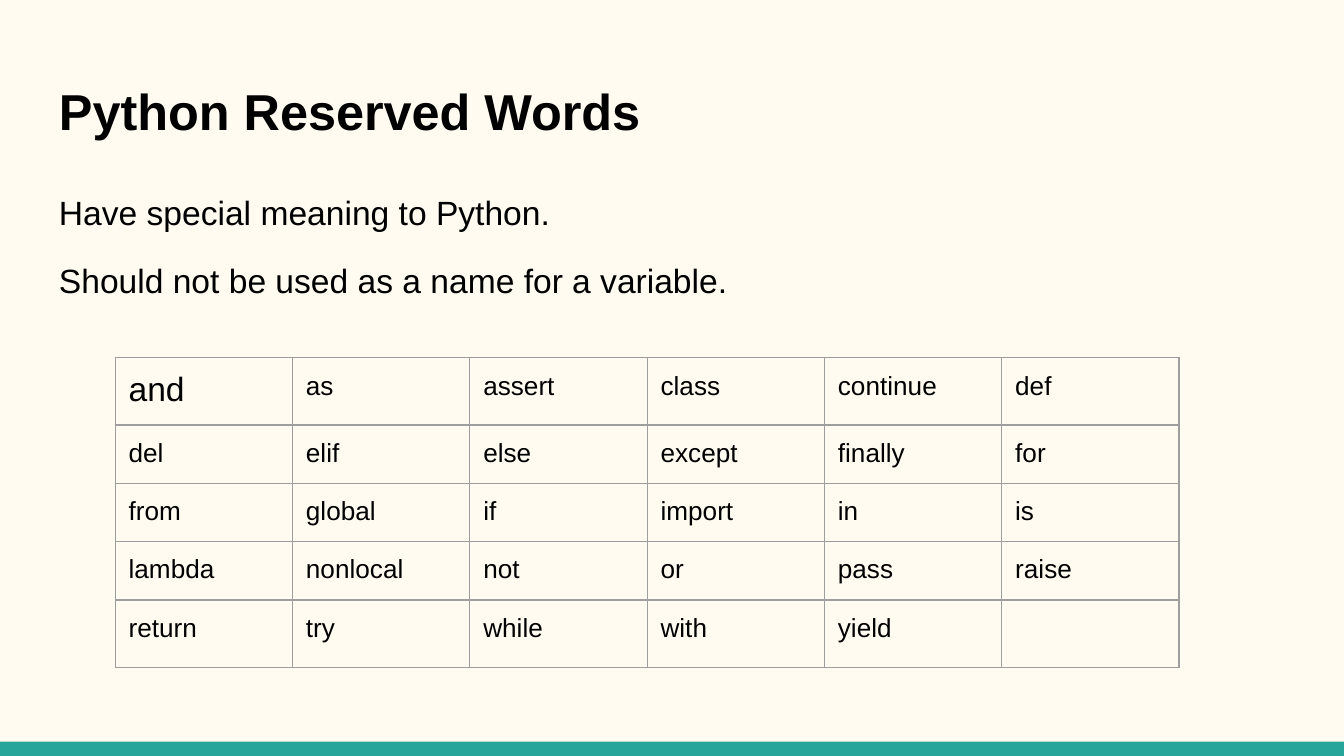
"""Build a slide that lists the reserved words of Python."""
from dataclasses import dataclass

from lxml import etree
from pptx import Presentation
from pptx.dml.color import RGBColor
from pptx.enum import shapes, text
from pptx.oxml import ns
from pptx.util import Pt

COLORS = {"paper": "FFFBF0", "teal": "26A69A", "ink": "000000", "grid": "9E9E9E"}
WIDTH, HEIGHT = 720, 405
INSET = 7.2
WORDS = """and as assert class continue def
del elif else except finally for
from global if import in is
lambda nonlocal not or pass raise
return try while with yield"""


@dataclass
class Box:
    """A rectangle in points."""
    left: float
    top: float
    width: float
    height: float

    def place(self) -> list:
        """Return the four lengths for a new shape."""
        return [Pt(n) for n in (self.left, self.top, self.width, self.height)]


def color(name: str) -> RGBColor:
    """Look up a named colour."""
    return RGBColor.from_string(COLORS[name])


def write(frame, lines: list[str], *, size: float, bold: bool = False,
          spread: float = 1, gap: float = 0) -> None:
    """Fill a text frame with formatted paragraphs."""
    for index, line in enumerate(lines):
        para = frame.add_paragraph() if index else frame.paragraphs[0]
        para.line_spacing = spread
        if index:
            para.space_before = para.space_after = Pt(gap)
        run = para.add_run()
        run.text = line
        run.font.name, run.font.size, run.font.bold = "Arial", Pt(size), bold
        run.font.color.rgb = color("ink")


def add_text(slide, box: Box, lines: list[str], anchor=text.MSO_ANCHOR.TOP, **style) -> None:
    """Add a wrapped text box."""
    frame = slide.shapes.add_textbox(*box.place()).text_frame
    frame.word_wrap, frame.vertical_anchor = True, anchor
    frame.margin_left = frame.margin_right = Pt(INSET)
    frame.margin_top = frame.margin_bottom = Pt(INSET)
    write(frame, lines, **style)


def add_edges(cell) -> None:
    """Draw thin lines on all sides of a cell."""
    props = cell._tc.get_or_add_tcPr()
    for index, side in enumerate(("lnL", "lnR", "lnT", "lnB")):
        line = etree.Element(ns.qn(f"a:{side}"), w=str(Pt(0.75)))
        fill = etree.SubElement(line, ns.qn("a:solidFill"))
        etree.SubElement(fill, ns.qn("a:srgbClr"), val=COLORS["grid"])
        props.insert(index, line)


def add_words(slide, box: Box, rows: list[list[str]], heights: list[float]) -> None:
    """Add the table of words, with a larger first word."""
    count = len(rows[0])
    table = slide.shapes.add_table(len(rows), count, *box.place()).table
    table.first_row = table.horz_banding = False
    for col in table.columns:
        col.width = Pt(box.width / count)
    for row, height, words in zip(table.rows, heights, rows):
        row.height = Pt(height)
        for cell, word in zip(row.cells, words + [""] * (count - len(words))):
            cell.fill.background()
            cell.margin_left = cell.margin_right = Pt(INSET)
            cell.margin_top = cell.margin_bottom = Pt(INSET)
            add_edges(cell)
            if word:
                write(cell.text_frame, [word], size=18 if word == "and" else 14)


def main() -> None:
    """Build and save the slide."""
    deck = Presentation()
    deck.slide_width, deck.slide_height = Pt(WIDTH), Pt(HEIGHT)
    slide = deck.slides.add_slide(deck.slide_layouts[6])
    slide.background.fill.solid()
    slide.background.fill.fore_color.rgb = color("paper")

    strip = Box(0, HEIGHT - 7.7, WIDTH, 7.7)
    bar = slide.shapes.add_shape(shapes.MSO_SHAPE.RECTANGLE, *strip.place())
    bar.shadow.inherit = False
    bar.fill.solid()
    bar.fill.fore_color.rgb = color("teal")
    bar.line.fill.background()

    add_text(slide, Box(24.5, 35.3, 671, 48.2), ["Python Reserved Words"],
             anchor=text.MSO_ANCHOR.MIDDLE, size=27, bold=True)
    add_text(slide, Box(24.5, 92.2, 671, 82.8),
             ["Have special meaning to Python.", "Should not be used as a name for a variable."],
             size=18, spread=1.15, gap=12)
    heights = [34.5, 30, 30, 30, 34.5]
    add_words(slide, Box(61.7, 191.7, 570, sum(heights)),
              [line.split() for line in WORDS.splitlines()], heights)
    deck.save("out.pptx")


if __name__ == "__main__":
    main()
